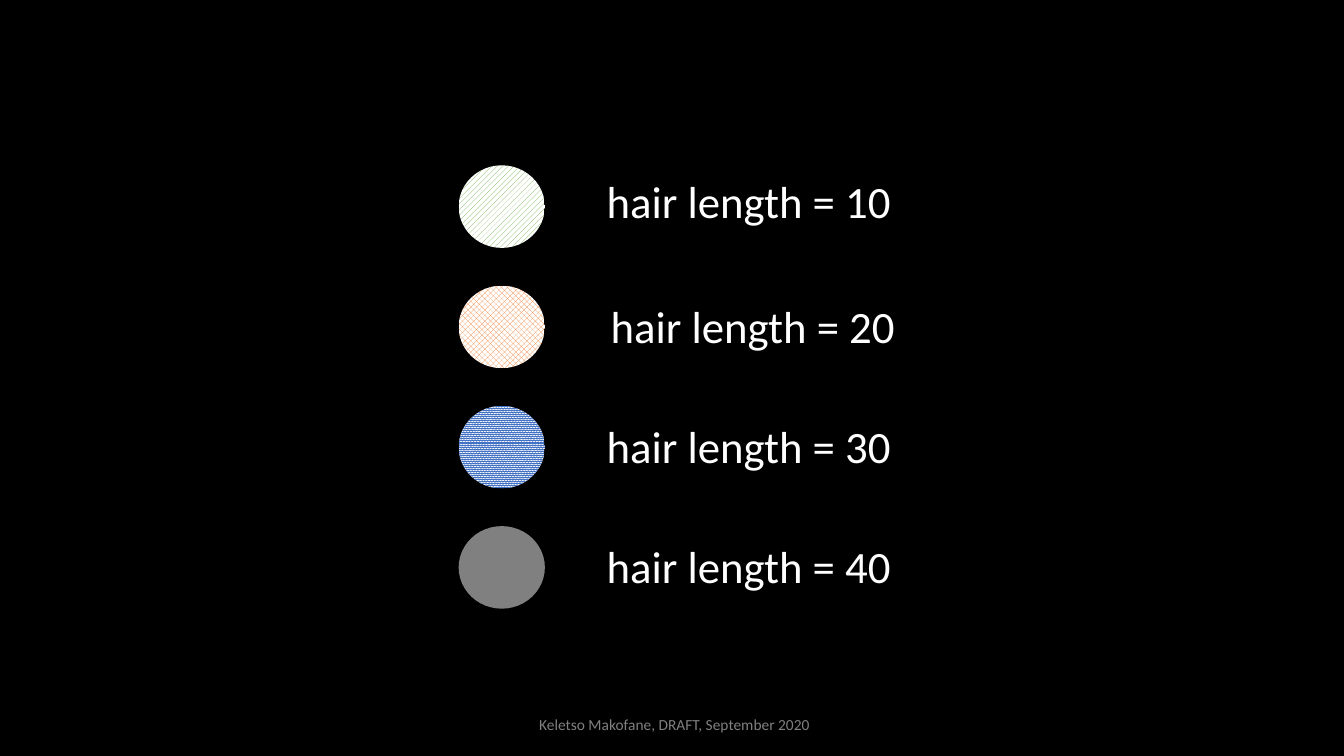
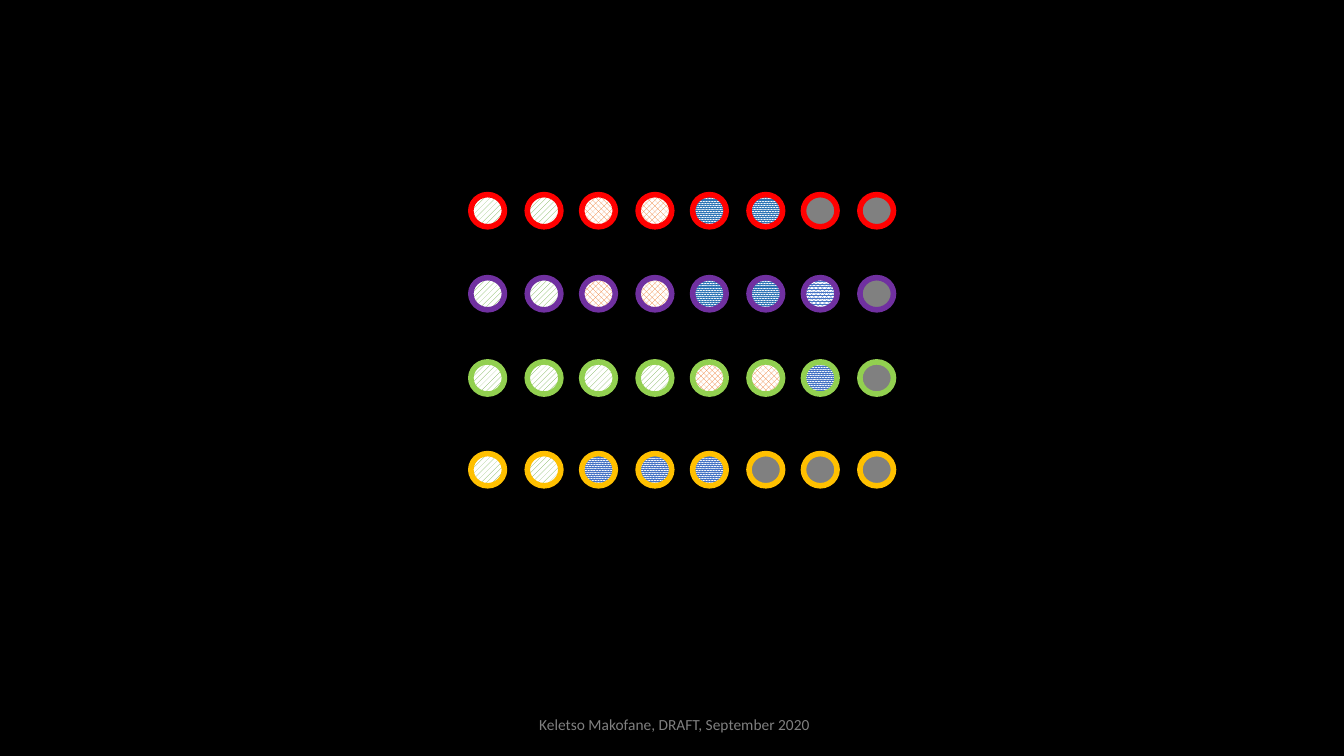
from pptx import Presentation
from pptx.dml.color import RGBColor
from pptx.enum.dml import MSO_PATTERN
from pptx.enum.shapes import MSO_SHAPE
from pptx.enum.text import MSO_AUTO_SIZE
from pptx.util import Pt

OVAL = MSO_SHAPE.OVAL
FIT_SHAPE = MSO_AUTO_SIZE.SHAPE_TO_FIT_TEXT
DIAGONAL = MSO_PATTERN.WIDE_UPWARD_DIAGONAL
DIAMOND = MSO_PATTERN.SOLID_DIAMOND
DENSE = MSO_PATTERN.PERCENT_90
MEDIUM = MSO_PATTERN.PERCENT_80

FONT = "Calibri"
BLACK, WHITE, GRAY = "000000", "FFFFFF", "808080"
FOOTER = "Keletso Makofane, DRAFT, September 2020"

HAIR_10 = ("70AD47", DIAGONAL)
HAIR_20 = ("ED7D31", DIAMOND)
HAIR_30 = ("4472C4", DENSE)
HAIR_30_DARK = ("2E75B6", DENSE)
HAIR_30_LIGHT = ("4472C4", MEDIUM)
HAIR_40 = (GRAY, None)

LEGEND = [
    (HAIR_10, "hair length = 10", 426.2, 120.2),
    (HAIR_20, "hair length = 20", 429.1, 209.5),
    (HAIR_30, "hair length = 30", 426.2, 295.2),
    (HAIR_40, "hair length = 40", 426.2, 380.9),
]
LEGEND_LEFT, LEGEND_TOP, LEGEND_PITCH = 327.6, 118.1, 85.9

GROUPS = [
    ("FF0000", 139, [HAIR_10] * 2 + [HAIR_20] * 2 + [HAIR_30_DARK] * 2 + [HAIR_40] * 2),
    ("7030A0", 198.3, [HAIR_10] * 2 + [HAIR_20] * 2 + [HAIR_30_DARK] * 2 + [HAIR_30_LIGHT, HAIR_40]),
    ("92D050", 258.5, [HAIR_10] * 4 + [HAIR_20] * 2 + [HAIR_30, HAIR_40]),
    ("FFC000", 324, [HAIR_10] * 2 + [HAIR_30] * 3 + [HAIR_40] * 3),
]
GROUP_LEFT, PAIR_PITCH, PARTNER_OFFSET = 336.3, 79.2, 40.3


def color(hex_string):
    return RGBColor.from_string(hex_string)


def add_circle(slide, left, top, width, height, hair, outline=None):
    shape = slide.shapes.add_shape(OVAL, Pt(left), Pt(top), Pt(width), Pt(height))
    shape.shadow.inherit = False
    foreground, pattern = hair
    if pattern is None:
        shape.fill.solid()
        shape.fill.fore_color.rgb = color(foreground)
    else:
        shape.fill.patterned()
        shape.fill.pattern = pattern
        shape.fill.fore_color.rgb = color(foreground)
        shape.fill.back_color.rgb = color(WHITE)
    if outline:
        shape.line.color.rgb = color(outline)
        shape.line.width = Pt(4)
    else:
        shape.line.fill.background()


def add_label(slide, left, top, width, height, text, size, text_color):
    text_frame = slide.shapes.add_textbox(Pt(left), Pt(top), Pt(width), Pt(height)).text_frame
    text_frame.word_wrap = False
    text_frame.auto_size = FIT_SHAPE
    text_frame.text = text
    font = text_frame.paragraphs[0].runs[0].font
    font.name = FONT
    font.size = Pt(size)
    font.color.rgb = color(text_color)


def add_slide(presentation):
    slide = presentation.slides.add_slide(presentation.slide_layouts[6])
    add_label(slide, 378, 507.6, 211, 20.6, FOOTER, 11, GRAY)
    return slide


def add_legend(slide):
    for row, (hair, text, text_left, text_top) in enumerate(LEGEND):
        add_circle(slide, LEGEND_LEFT, LEGEND_TOP + row * LEGEND_PITCH, 61.6, 59, hair)
        add_label(slide, text_left, text_top, 219.6, 46, text, 32, WHITE)


def add_groups(slide):
    for outline, top, members in GROUPS:
        for index, hair in enumerate(members):
            pair, partner = divmod(index, 2)
            left = GROUP_LEFT + pair * PAIR_PITCH + partner * PARTNER_OFFSET
            add_circle(slide, left, top, 24, 23, hair, outline)


def main():
    presentation = Presentation()
    presentation.slide_width = Pt(960)
    presentation.slide_height = Pt(540)
    background = presentation.slide_master.background.fill
    background.solid()
    background.fore_color.rgb = color(BLACK)
    add_legend(add_slide(presentation))
    add_groups(add_slide(presentation))
    presentation.save("out.pptx")


if __name__ == "__main__":
    main()
